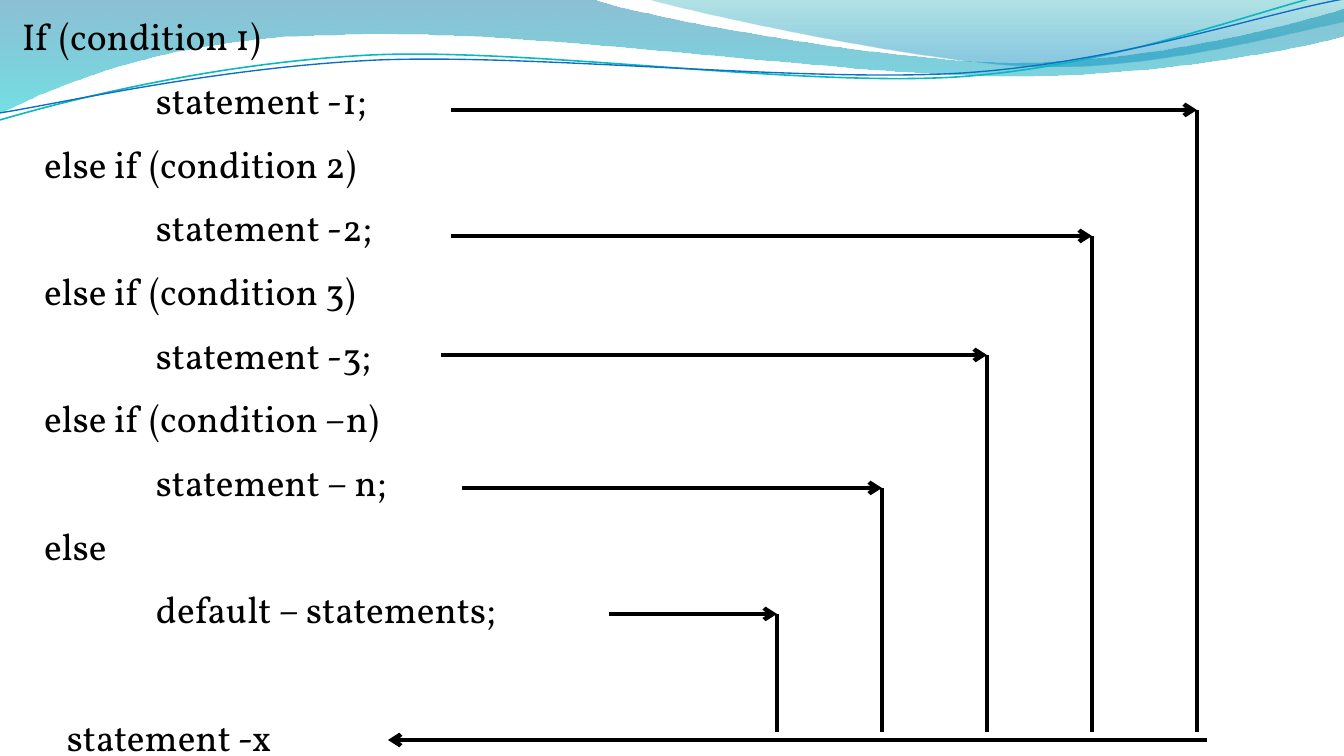
from collections import namedtuple

from lxml.etree import SubElement
from pptx import Presentation
from pptx.dml.color import RGBColor
from pptx.enum.shapes import MSO_CONNECTOR
from pptx.oxml.ns import qn
from pptx.util import Pt

Theme = namedtuple("Theme", "font size ink line_width space_before gap_before inset")
THEME = Theme("Vollkorn", Pt(20), RGBColor(0, 0, 0), Pt(2.25), Pt(10.1), Pt(44.3), Pt(3))

# Content: text and left indent in px
CODE = [
    ("If (condition 1)", 0),
    ("statement -1;", 134),
    ("else if (condition 2)", 22),
    ("statement -2;", 134),
    ("else if (condition 3)", 22),
    ("statement -3;", 134),
    ("else if (condition –n)", 22),
    ("statement – n;", 134),
    ("else", 22),
    ("default – statements;", 134),
    ("statement -x", 45),
]

# Exit arrows: start x and y; each turns down one step left of the previous
EXITS = [(451, 110), (451, 236), (441, 355), (462, 488), (609, 614)]
FIRST_TURN, TURN_STEP, EXIT_BOTTOM = 1197, 105, 732
RETURN_FROM, RETURN_TO, RETURN_Y = 1207, 388, 740

# Waves: a segment of one point is a line, of three points a Bézier curve
BANDS = [
    ((0, 0),
     [[(591, -1)],
      [(640, 17), (892, 63), (1019, 63)], [(1146, 63), (1288, 26), (1344, 9)],
      [(1345, 36)],
      [(1321, 44), (1169, 77), (1003, 77)], [(836, 75), (513, 28), (345, 35)],
      [(173, 36), (62, 83), (-1, 114)]],
     [(0, "0074A1", 45), (1, "00C6CF", 55)]),
    ((644, -1),
     [[(684, 11), (917, 62), (1034, 66)], [(1151, 70), (1292, 32), (1344, 22)],
      [(1344, 0)]],
     [(0, "00A1A9", 30), (0.8, "008BBF", 45)]),
]
STRANDS = [
    ((0, 120),
     [[(65, 101), (212, 63), (372, 55)], [(532, 48), (796, 87), (957, 77)],
      [(1120, 66), (1262, 8), (1341, -9)]],
     "0AB8BF", 0.85),
    ((0, 113),
     [[(63, 103), (220, 67), (380, 60)], [(542, 54), (802, 83), (964, 73)],
      [(1124, 62), (1265, 13), (1344, -1)]],
     "0F6FC6", 0.75),
]


def px(length):
    return round(length * 914400 / 134.4)


def add_wave(start, segments, close):
    builder = page.shapes.build_freeform(px(start[0]), px(start[1]))
    points = [(px(x), px(y)) for segment in segments for x, y in segment]
    builder.add_line_segments(points, close=close)
    wave = builder.convert_to_shape()
    wave.shadow.inherit = False
    # Each run of three points becomes one curve
    lines = wave._element.iter(qn("a:lnTo"))
    steps = iter(list(lines))
    for segment in segments:
        first, *others = [next(steps) for _ in segment]
        if others:
            first.tag = qn("a:cubicBezTo")
            for other in others:
                first.append(other[0])
                other.getparent().remove(other)
    return wave


def add_line(x1, y1, x2, y2, arrow=False):
    line = page.shapes.add_connector(MSO_CONNECTOR.STRAIGHT, px(x1), px(y1), px(x2), px(y2))
    line.line.color.rgb = THEME.ink
    line.line.width = THEME.line_width
    properties = line.line._get_or_add_ln()
    if arrow:
        SubElement(properties, qn("a:tailEnd"), type="arrow")
    SubElement(properties.getparent(), qn("a:effectLst"))


deck = Presentation()
deck.slide_width, deck.slide_height = px(1344), px(756)
page = deck.slides.add_slide(deck.slide_layouts[6])

# Translucent bands
for start, segments, stops in BANDS:
    band = add_wave(start, segments, close=True)
    band.line.fill.background()
    band.fill.gradient()
    band.fill.gradient_angle = 270
    for stop, (position, color, _) in zip(band.fill.gradient_stops, stops):
        stop.position = position
        stop.color.rgb = RGBColor.from_string(color)
    colors = band._element.spPr.iter(qn("a:srgbClr"))
    for color, (_, _, opacity) in zip(colors, stops):
        SubElement(color, qn("a:alpha"), val=str(opacity * 1000))

# Thin strands
for start, segments, color, width in STRANDS:
    strand = add_wave(start, segments, close=False)
    strand.fill.background()
    strand.line.color.rgb = RGBColor.from_string(color)
    strand.line.width = Pt(width)

# Code
box = page.shapes.add_textbox(px(11), px(8), px(1261), px(762))
frame = box.text_frame
frame.word_wrap = True
frame.margin_left = frame.margin_right = px(11)
frame.margin_top = frame.margin_bottom = THEME.inset
for index, (text, indent) in enumerate(CODE):
    para = frame.paragraphs[0] if index == 0 else frame.add_paragraph()
    para.text = text
    para._p.get_or_add_pPr().set("marL", str(px(indent)))
    if index:
        para.space_before = THEME.gap_before if index == len(CODE) - 1 else THEME.space_before
    para.font.name = THEME.font
    para.font.size = THEME.size
    para.font.color.rgb = THEME.ink

# Flow out of every branch and back to statement -x
add_line(RETURN_FROM, RETURN_Y, RETURN_TO, RETURN_Y, arrow=True)
for index, (start, y) in enumerate(EXITS):
    turn = FIRST_TURN - index * TURN_STEP
    add_line(start, y, turn, y, arrow=True)
    add_line(turn, y, turn, EXIT_BOTTOM)

deck.save("out.pptx")
